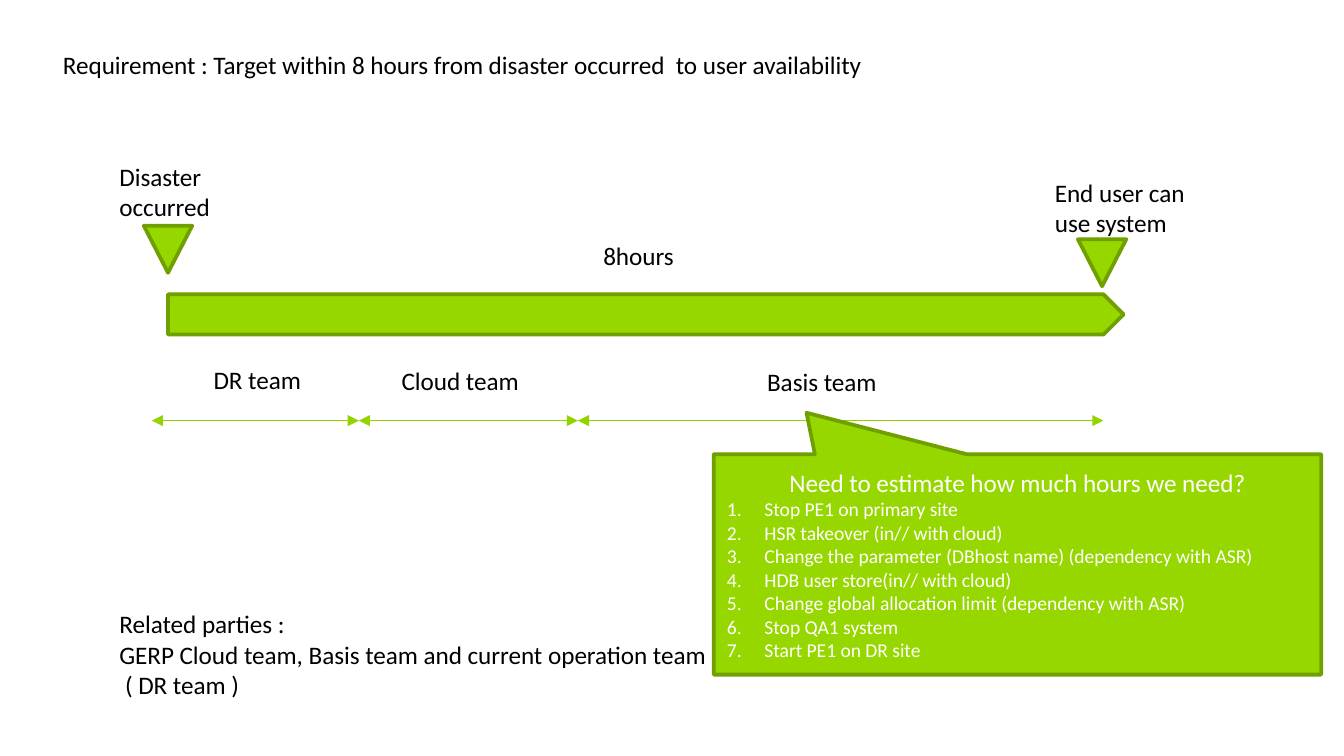
from pptx import Presentation
from pptx.dml.color import RGBColor
from pptx.enum import shapes, text
from pptx.oxml import ns, xmlchemy
from pptx.util import Inches, Pt

COLORS = {"fill": "97D700", "outline": "709F00", "arrow": "94D200",
          "ink": "000000", "paper": "FFFFFF"}
FONT = "Calibri"
STEPS = ["Stop PE1 on primary site", "HSR takeover (in// with cloud)",
         "Change the parameter (DBhost name) (dependency with ASR)",
         "HDB user store(in// with cloud)",
         "Change global allocation limit (dependency with ASR)",
         "Stop QA1 system", "Start PE1 on DR site"]


def rgb(name):
    """Return the palette colour of the given name."""
    return RGBColor.from_string(COLORS[name])


def add_element(parent, tag, **attributes):
    """Append a DrawingML element to the parent."""
    element = xmlchemy.OxmlElement(tag)
    for key, value in attributes.items():
        element.set(key, str(value))
    parent.append(element)
    return element


def style_paragraph(paragraph, size, color):
    """Set the font of a paragraph."""
    paragraph.font.name = FONT
    paragraph.font.size = Pt(size)
    paragraph.font.color.rgb = rgb(color)


def add_label(slide, left, top, width, height, lines):
    """Add a wrapped text box with one paragraph per line."""
    box = slide.shapes.add_textbox(*map(Inches, (left, top, width, height)))
    frame = box.text_frame
    frame.word_wrap = True
    frame.auto_size = text.MSO_AUTO_SIZE.SHAPE_TO_FIT_TEXT
    frame.text = "\n".join(lines)
    for paragraph in frame.paragraphs:
        style_paragraph(paragraph, 13.5, "ink")


def add_block(slide, kind, left, top, width, height):
    """Add a green outlined shape."""
    shape = slide.shapes.add_shape(kind, *map(Inches, (left, top, width, height)))
    shape.shadow.inherit = False
    shape.fill.solid()
    shape.fill.fore_color.rgb = rgb("fill")
    shape.line.color.rgb = rgb("outline")
    shape.line.width = Pt(2)
    return shape


def add_span(slide, start, end, y):
    """Add a horizontal double-headed arrow."""
    points = map(Inches, (start, y, end, y))
    connector = slide.shapes.add_connector(shapes.MSO_CONNECTOR.STRAIGHT, *points)
    connector.line.color.rgb = rgb("arrow")
    connector.line.width = Pt(0.75)
    line = connector.line._get_or_add_ln()
    for tag in ("a:headEnd", "a:tailEnd"):
        add_element(line, tag, type="triangle")
    add_element(connector._element.spPr, "a:effectLst")


def add_milestone(slide, left, top, width, marker_x, marker_y, caption):
    """Add a caption and a downward triangle offset from its corner."""
    marker = add_block(slide, shapes.MSO_SHAPE.ISOSCELES_TRIANGLE,
                       left + marker_x, top + marker_y, 0.36, 0.35)
    marker.rotation = 180
    add_label(slide, left, top, width, 0.56, [caption])


def add_timeline(slide, left, top, width, height):
    """Add the duration bar with its label."""
    add_block(slide, shapes.MSO_SHAPE.PENTAGON, left, top, width, height)
    add_label(slide, left + 3.14, top - 0.45, 1.12, 0.33, ["8hours"])


def add_teams(slide, left, top):
    """Add the team names above their consecutive arrows."""
    teams = [("DR team", 0.36, 0, 1.12, 1.54),
             ("Cloud team", 0.22, 0.01, 1.5, 1.63),
             ("Basis team", 1.31, 0.02, 1.5, 3.91)]
    for name, indent, drop, width, length in teams:
        add_label(slide, left + indent, top + drop, width, 0.33, [name])
        add_span(slide, left, left + length, top + 0.47)
        left += length


def add_callout(slide, left, top, width, height):
    """Add the callout with its heading and numbered steps."""
    callout = add_block(slide, shapes.MSO_SHAPE.RECTANGULAR_CALLOUT,
                        left, top, width, height)
    callout.adjustments[0] = -0.347
    callout.adjustments[1] = -0.688
    frame = callout.text_frame
    frame.word_wrap = True
    frame.vertical_anchor = text.MSO_ANCHOR.MIDDLE
    frame.text = "\n".join(["Need to estimate how much hours we need?", *STEPS])
    heading, *steps = frame.paragraphs
    heading.alignment = text.PP_ALIGN.CENTER
    style_paragraph(heading, 13.5, "paper")
    for paragraph in steps:
        paragraph.alignment = text.PP_ALIGN.LEFT
        style_paragraph(paragraph, 10.5, "paper")
        properties = paragraph._p.get_or_add_pPr()
        properties.set("marL", str(Inches(0.28)))
        properties.set("indent", str(Inches(-0.28)))
        number = add_element(properties, "a:buAutoNum", type="arabicPeriod")
        properties.find(ns.qn("a:defRPr")).addprevious(number)


def main():
    """Build and save the slide."""
    presentation = Presentation()
    presentation.slide_width = Inches(10)
    presentation.slide_height = Inches(10 * 9 / 16)
    slide = presentation.slides.add_slide(presentation.slide_layouts[6])
    add_timeline(slide, 1.25, 2.19, 7.11, 0.3)
    add_teams(slide, 1.13, 2.66)
    add_milestone(slide, 0.79, 1.15, 0.93, 0.28, 0.53, "Disaster occurred")
    add_callout(slide, 5.31, 3.38, 4.52, 1.64)
    add_label(slide, 0.79, 4.48, 6.07, 0.78, [
        "Related parties :",
        "GERP Cloud team, Basis team and current operation team",
        " ( DR team )"])
    add_label(slide, 0.37, 0.32, 7, 0.33, [
        "Requirement : Target within 8 hours from disaster occurred  to user availability"])
    add_milestone(slide, 7.75, 1.27, 1.28, 0.27, 0.51, "End user can use system")
    presentation.save("out.pptx")


if __name__ == "__main__":
    main()
